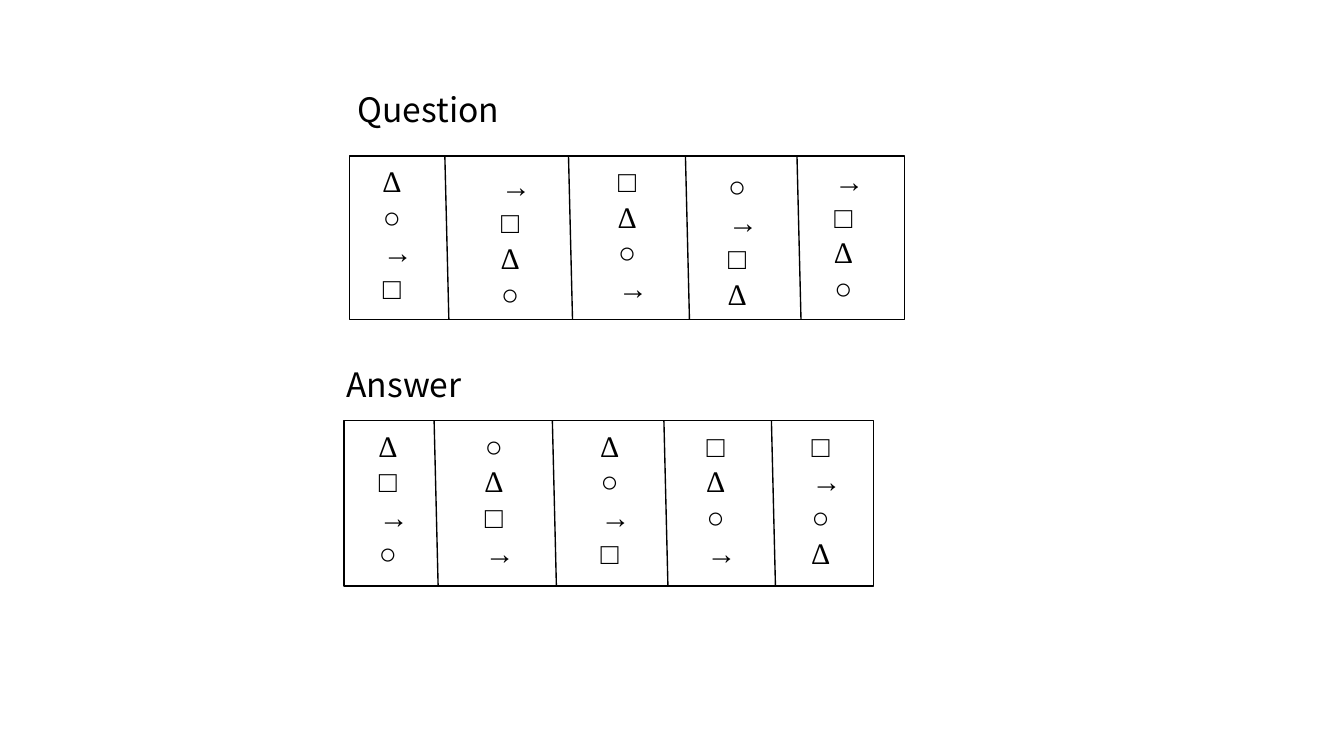
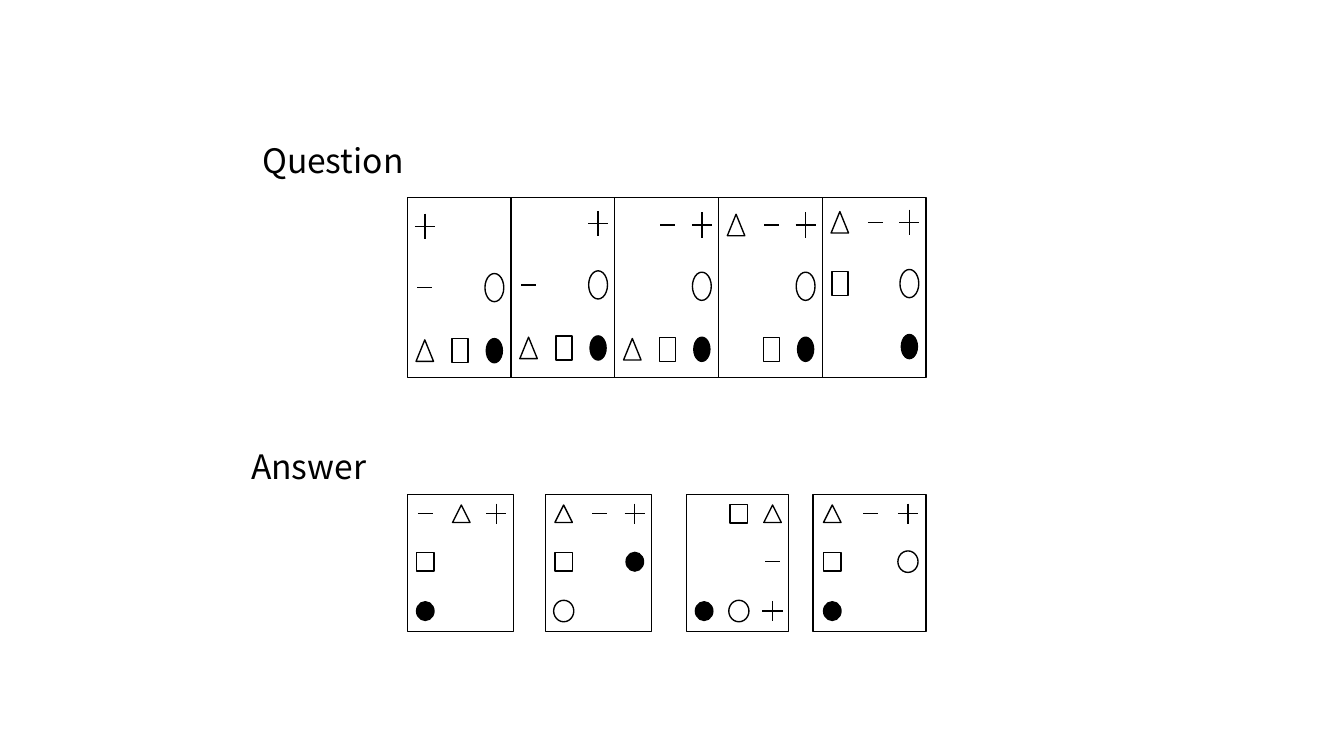
from pptx import Presentation
from pptx.dml.color import RGBColor
from pptx.enum.shapes import MSO_CONNECTOR, MSO_SHAPE
from pptx.enum.text import MSO_ANCHOR, MSO_AUTO_SIZE, PP_ALIGN
from pptx.oxml.ns import qn
from pptx.util import Inches, Pt
from lxml import etree

BLACK, WHITE = "000000", "FFFFFF"
LABEL_FONT, SYMBOL_FONT = "Noto Sans CJK KR", "Times New Roman"
LABEL_W, LABEL_H = 2.44, 0.4
SLIDE_W = 10
SLIDE_H = SLIDE_W * 9 / 16

STRIP_LABELS = [("Question", 2.56, 0.61), ("Answer", 2.48, 2.66)]
STRIPS = [
    dict(box=(2.6, 1.16, 4.13, 1.22), text_w=0.39,
         columns=["∆○→□", "→□∆○", "□∆○→", "○→□∆", "→□∆○"],
         starts=[2.75, 3.63, 4.5, 5.32, 6.11], drops=[0, 0.04, 0, 0.04, 0],
         dividers=[3.31, 4.23, 5.1, 5.93]),
    dict(box=(2.56, 3.13, 3.94, 1.23), text_w=0.37,
         columns=["∆□→○", "○∆□→", "∆○→□", "□∆○→", "□→○∆"],
         starts=[2.72, 3.51, 4.37, 5.16, 5.94], drops=[0] * 5,
         dividers=[3.23, 4.11, 4.94, 5.74]),
]
LEAN = 0.03

PANEL_LABELS = [("Question", 1.85, 0.99), ("Answer", 1.77, 3.27)]
COLUMN_SHARES = [0.17, 0.51, 0.84]
QUESTION = dict(
    top=1.47, height=1.34, row_shares=[0.16, 0.5, 0.85],
    sizes={"disc": (0.13, 0.19), "triangle": (0.13, 0.16), "square": (0.12, 0.18),
           "ring": (0.14, 0.21), "minus": (0.11, 0), "plus": (0.15, 0.19)})
ANSWER = dict(
    top=3.68, height=1.02, row_shares=[0.14, 0.49, 0.85],
    sizes={"disc": (0.14, 0.15), "triangle": (0.13, 0.13), "square": (0.13, 0.14),
           "ring": (0.15, 0.16), "minus": (0.11, 0), "plus": (0.15, 0.15)})
MARKS = {"*": "disc", "^": "triangle", "#": "square", "o": "ring",
         "-": "minus", "+": "plus"}
QUESTION_LEFT, QUESTION_W = 3.03, 3.86
QUESTION_PANELS = [
    (["+  ", "- o", "^#*"], 0),
    (["  +", "- o", "^#*"], 0.02),
    ([" -+", "  o", "^#*"], 0.01),
    (["^-+", "  o", " #*"], 0.01),
    (["^-+", "# o", "  *"], 0.03),
]
ANSWER_PANELS = [
    (4.06, 0.79, ["^-+", "# *", "o  "]),
    (5.11, 0.76, [" #^", "  -", "*o+"]),
    (6.05, 0.84, ["^-+", "# o", "*  "]),
    (3.03, 0.79, ["-^+", "#  ", "*  "]),
]
LOOKS = {
    "disc": (MSO_SHAPE.OVAL, BLACK, False),
    "triangle": (MSO_SHAPE.ISOSCELES_TRIANGLE, WHITE, True),
    "square": (MSO_SHAPE.RECTANGLE, WHITE, True),
    "ring": (MSO_SHAPE.OVAL, None, True),
    "frame": (MSO_SHAPE.RECTANGLE, None, True),
}


def color(value):
    """Turn a hex string into a colour."""
    return RGBColor.from_string(value)


def add_outline(item):
    """Give a shape or connector the shared thin line."""
    item.line.color.rgb = color(BLACK)
    item.line.width = Pt(0.75)


def add_figure(parent, name, x, y, w, h):
    """Draw one of the named preset shapes."""
    kind, fill, outlined = LOOKS[name]
    sp = parent.shapes.add_shape(kind, *map(Inches, (x, y, w, h)))
    sp.shadow.inherit = False
    if fill:
        sp.fill.solid()
        sp.fill.fore_color.rgb = color(fill)
    else:
        sp.fill.background()
    if outlined:
        add_outline(sp)
    else:
        sp.line.fill.background()


def add_line(parent, x1, y1, x2, y2):
    """Draw a straight thin line."""
    ln = parent.shapes.add_connector(MSO_CONNECTOR.STRAIGHT, *map(Inches, (x1, y1, x2, y2)))
    add_outline(ln)
    etree.SubElement(ln._element.spPr, qn("a:effectLst"))


def write(sp, text, size, font, auto_size):
    """Fill a text shape with one left-aligned run."""
    tf = sp.text_frame
    tf.word_wrap = True
    tf.auto_size = auto_size
    tf.vertical_anchor = MSO_ANCHOR.TOP
    p = tf.paragraphs[0]
    p.alignment = PP_ALIGN.LEFT
    r = p.add_run()
    r.text = text
    r.font.size = Pt(size)
    r.font.name = font
    r.font.color.rgb = color(BLACK)
    etree.SubElement(r.font._element, qn("a:ea")).set("typeface", font)
    return p


def add_slide(prs, labels):
    """Add a slide with its title and second label."""
    s = prs.slides.add_slide(prs.slide_layouts[5])
    (title, x, y), (second, x2, y2) = labels
    sp = s.shapes.title
    sp.left, sp.top, sp.width, sp.height = map(Inches, (x, y, LABEL_W, LABEL_H))
    box = s.shapes.add_textbox(*map(Inches, (x2, y2, LABEL_W, LABEL_H)))
    for shape, text in ((sp, title), (box, second)):
        write(shape, text, 18, LABEL_FONT, MSO_AUTO_SIZE.SHAPE_TO_FIT_TEXT)
    return s


def add_strip(s, strip):
    """Draw a framed strip of symbol columns with leaning dividers."""
    g = s.shapes.add_group_shape()
    x, y, w, h = strip["box"]
    add_figure(g, "frame", x, y, w, h)
    for left in strip["dividers"]:
        add_line(g, left, y, left + LEAN, y + h)
    for text, left, drop in zip(strip["columns"], strip["starts"], strip["drops"]):
        box = g.shapes.add_textbox(*map(Inches, (left, y + drop, strip["text_w"], h)))
        p = write(box, text, 16, SYMBOL_FONT, MSO_AUTO_SIZE.NONE)
        p.space_after = Pt(10)


def add_panel(g, style, x, w, rows, lift=0):
    """Draw a frame and the marks of its three-by-three grid."""
    top, height = style["top"], style["height"]
    add_figure(g, "frame", x, top, w, height)
    for row, row_share in zip(rows, style["row_shares"]):
        for mark, column_share in zip(row, COLUMN_SHARES):
            if mark == " ":
                continue
            name = MARKS[mark]
            mw, mh = style["sizes"][name]
            cx, cy = x + column_share * w, top + row_share * height - lift
            if name in LOOKS:
                add_figure(g, name, cx - mw / 2, cy - mh / 2, mw, mh)
            else:
                add_line(g, cx - mw / 2, cy, cx + mw / 2, cy)
            if name == "plus":
                add_line(g, cx, cy - mh / 2, cx, cy + mh / 2)


prs = Presentation()
prs.slide_width, prs.slide_height = Inches(SLIDE_W), Inches(SLIDE_H)

s = add_slide(prs, STRIP_LABELS)
for strip in STRIPS:
    add_strip(s, strip)

s = add_slide(prs, PANEL_LABELS)
g = s.shapes.add_group_shape()
panel_w = QUESTION_W / len(QUESTION_PANELS)
for i, (rows, lift) in enumerate(QUESTION_PANELS):
    add_panel(g, QUESTION, QUESTION_LEFT + i * panel_w, panel_w, rows, lift)
for x, w, rows in ANSWER_PANELS:
    add_panel(s.shapes.add_group_shape(), ANSWER, x, w, rows)

prs.save("out.pptx")
